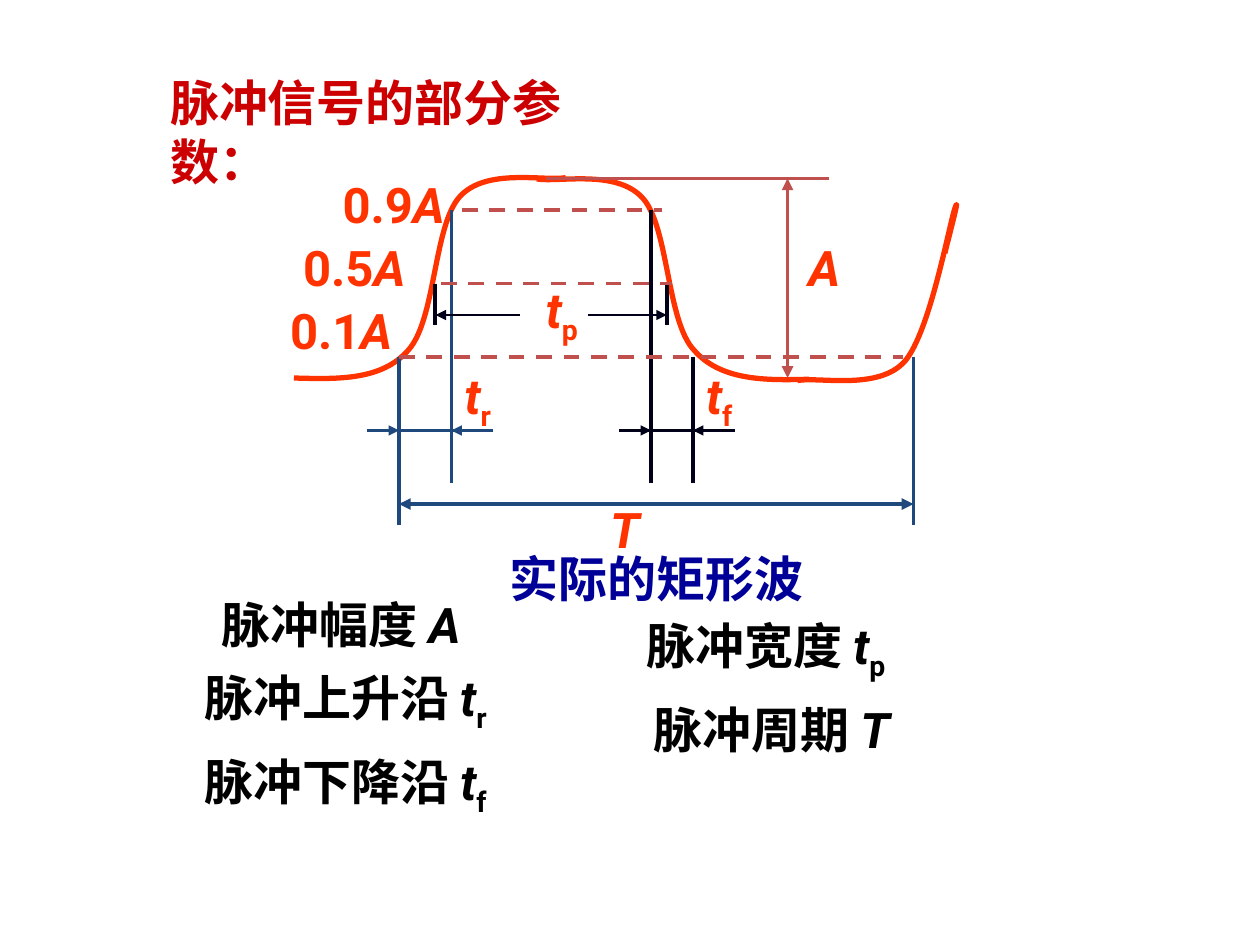
from lxml.etree import SubElement as Sub
from pptx import Presentation
from pptx.dml.color import RGBColor as Rgb
from pptx.enum.dml import MSO_LINE as Dash
from pptx.enum.shapes import MSO_CONNECTOR as Link
from pptx.enum.text import MSO_ANCHOR as Anchor, MSO_AUTO_SIZE as Fit, PP_ALIGN as Align
from pptx.oxml.ns import qn
from pptx.util import Cm, Pt

UNIT = 2.54 / 12  # grid step in cm; all places below count these steps
RED, BLUE, INK, ROSE = "FF3300", "1F497D", "000018", "C0504D"
BLACK, NAVY, CRIMSON = "000000", "000099", "CC0000"

TITLE = ("脉冲信号的部分参数：", (15, 9, 47, 7))
CAPTION = ("实际的矩形波", (33, 51, 59, 8))

# upright text, italic symbol, subscript, left, top, width
TERMS = [
    ("脉冲幅度 ", "A", "", 14, 56, 37),
    ("脉冲上升沿 ", "t", "r ", 14.75, 63, 37),
    ("脉冲周期 ", "T", "", 55, 66, 37),
    ("脉冲下降沿 ", "t", "f ", 14.75, 71, 37),
    ("脉冲宽度 ", "t", "p ", 54.8, 58, 37),
]
MARKS = [
    ("0.9", "A", "", 30, 16, 15),
    ("0.5", "A", "", 26.25, 22, 15),
    ("0.1", "A", "", 25, 28, 15),
    ("", "A", "", 74, 22, 9),
    ("", "t", "p", 46, 26, 15),
    ("", "t", "r", 38, 34.2, 15),
    ("", "t", "f", 61, 34.2, 15),
    ("", "T", "", 52, 47, 15),
]

# start point, then Bezier pieces of three points each
WAVES = [
    [(28, 36), (32.16, 36.12), (36.36, 36.24), (38.88, 33.36), (41.52, 30.48),
     (41.28, 21.48), (43.8, 18.72), (46.32, 15.96), (51.84, 17.28), (53.88, 16.92)],
    [(77.04, 36.12), (72.84, 36.24), (68.64, 36.24), (66.12, 33.36), (63.48, 30.6),
     (63.72, 21.6), (61.2, 18.84), (58.68, 16.08), (53.16, 17.4), (51.12, 17.04)],
    [(90, 24.12), (90.12, 23.52), (91.56, 18.12), (90.96, 19.8), (90.36, 21.6),
     (88.56, 31.68), (86.16, 34.44), (83.64, 37.2), (78.12, 35.88), (75.96, 36.24)],
]

# x, top, bottom, colour
POSTS = [(38, 34, 50, BLUE), (43, 20, 46, BLUE), (62, 20, 46, INK), (66, 34, 46, INK),
         (87, 34, 50, BLUE), (41.4, 27, 31, INK), (63.5, 27, 31, INK)]
# left, right, y
LEVELS = [(44, 63, 20), (42, 64, 27), (38, 86, 34)]
# from x, to x, y, colour, arrow at the end
RULERS = [
    (35, 38, 41, BLUE, True), (47, 43, 41, BLUE, True), (38, 44, 41, BLUE, False),
    (59, 62, 41, INK, True), (70, 66, 41, INK, True), (61, 67, 41, INK, False),
    (49.5, 41.5, 30, INK, True), (56, 63.5, 30, INK, True),
]

deck = Presentation()
deck.slide_width, deck.slide_height = Cm(25.4), Cm(19.05)
slide = deck.slides.add_slide(deck.slide_layouts[5])


def pos(*steps):
    """Turn grid steps into lengths."""
    return [Cm(n * UNIT) for n in steps]


def tint(text):
    """Turn a hex string into a colour."""
    return Rgb.from_string(text)


def add_run(para, text, color, font="Roboto", slant=False, sub=False):
    """Add one bold run to a paragraph."""
    run = para.add_run()
    run.text = text
    face = run.font
    face.name, face.size, face.bold, face.italic = font, Pt(28), True, slant
    face.color.rgb = tint(color)
    if sub:
        run._r.get_or_add_rPr().set("baseline", "-25000")


def add_head(shape, text, color, align):
    """Fill a shape with a heading centred in its height."""
    frame = shape.text_frame
    frame.word_wrap, frame.auto_size = True, Fit.NONE
    frame.vertical_anchor = Anchor.MIDDLE
    para = frame.paragraphs[0]
    para.alignment = align
    para._p.get_or_add_pPr().set("hangingPunct", "0")
    add_run(para, text, color, "Calibri")


def add_label(text, sign, low, left, top, width, color):
    """Add a centred label with a symbol and its subscript."""
    frame = slide.shapes.add_textbox(*pos(left, top, width, 6.8)).text_frame
    frame.word_wrap, frame.auto_size = True, Fit.SHAPE_TO_FIT_TEXT
    para = frame.paragraphs[0]
    para.alignment = Align.CENTER
    if text:
        add_run(para, text, color)
    add_run(para, sign, color, slant=True)
    if low:
        add_run(para, low, color, sub=True)


def add_line(x1, y1, x2, y2, color, width=2.25, dash=False, ends=()):
    """Draw a straight line, dashed or with arrowheads if asked."""
    link = slide.shapes.add_connector(Link.STRAIGHT, *pos(x1, y1, x2, y2))
    link.line.color.rgb, link.line.width = tint(color), Pt(width)
    if dash:
        link.line.dash_style = Dash.DASH
    for end in ends:
        Sub(link.line._get_or_add_ln(), qn("a:" + end), type="triangle")
    Sub(link._element.spPr, qn("a:effectLst"))


def add_wave(pts):
    """Draw an open outline, each three points bent into one Bezier piece."""
    pen = slide.shapes.build_freeform(*pos(*pts[0]))
    pen.add_line_segments([pos(*p) for p in pts[1:]], close=False)
    wave = pen.convert_to_shape()
    legs = list(wave._element.iter(qn("a:lnTo")))
    track = legs[0].getparent()
    for i in range(0, len(legs), 3):
        bend = Sub(track, qn("a:cubicBezTo"))
        for leg in legs[i:i + 3]:
            bend.append(leg[0])
            track.remove(leg)
    wave.shadow.inherit = False
    wave.fill.background()
    wave.line.color.rgb, wave.line.width = tint(RED), Pt(3)


title = slide.shapes.title
title.left, title.top, title.width, title.height = pos(*TITLE[1])
add_head(title, TITLE[0], CRIMSON, Align.LEFT)

for term in TERMS:
    add_label(*term, BLACK)
for pts in WAVES:
    add_wave(pts)

both = ("headEnd", "tailEnd")
add_line(52, 17, 79, 17, ROSE)
add_line(75, 17, 75, 36, ROSE, ends=both)
for x, top, base, color in POSTS:
    add_line(x, top, x, base, color)
for x1, x2, y in LEVELS:
    add_line(x1, y, x2, y, ROSE, dash=True)
for x1, x2, y, color, arrow in RULERS:
    add_line(x1, y, x2, y, color, 1.5, ends=both[1:] if arrow else ())
add_line(38, 48, 87, 48, BLUE, ends=both)

for mark in MARKS:
    add_label(*mark, RED)
add_head(slide.shapes.add_textbox(*pos(*CAPTION[1])), CAPTION[0], NAVY, Align.CENTER)

deck.save("out.pptx")
